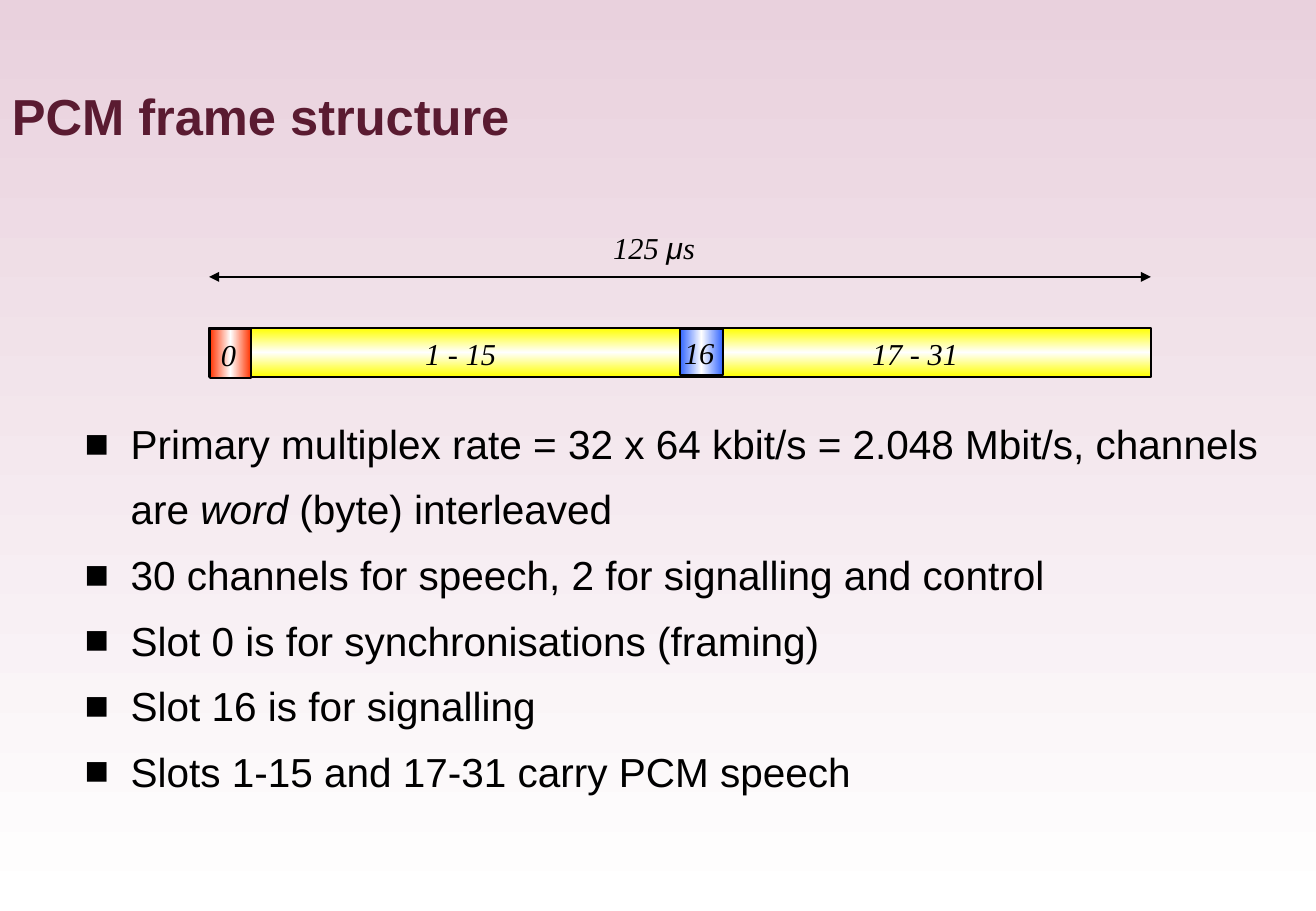
from copy import deepcopy
from dataclasses import dataclass

from lxml.etree import SubElement
from pptx import Presentation
from pptx.dml.color import RGBColor
from pptx.enum.shapes import MSO_CONNECTOR as Connector, MSO_SHAPE as Shape
from pptx.enum.text import MSO_ANCHOR as Anchor, MSO_AUTO_SIZE as AutoSize
from pptx.oxml.ns import qn
from pptx.util import Cm, Pt


@dataclass(frozen=True)
class Theme:
    ink: str = "000000"
    title: str = "5A1B31"
    backdrop: tuple = ("E9D1DD", "FFFFFF")
    speech: tuple = ("FFFF00", "FFFFFF", "FFFF00")
    sync: tuple = ("FF3300", "FFFFFF", "FF3300")
    signalling: tuple = ("3366FF", "FFFFFF", "3366FF")
    sans: str = "Arial"
    serif: str = "Times New Roman"
    title_size: int = 30
    body_size: int = 24
    label_size: int = 18
    line_width: int = 1


DOWNWARD, RIGHTWARD = 270, 0
SLIDE_WIDTH, SLIDE_HEIGHT = 27.51, 19.05
FRAME_LEFT, FRAME_TOP, FRAME_WIDTH, FRAME_HEIGHT = 4.37, 6.86, 19.69, 1.02
ARROW_TOP = 5.79
BULLET_INDENT = 0.96

# Each run is its text, optionally followed by True for italics.
POINTS = [
    [("Primary multiplex rate = 32 x 64 kbit/s = 2.048 Mbit/s, channels are ",),
     ("word", True), (" (byte) interleaved",)],
    [("30 channels for speech, 2 for signalling and control",)],
    [("Slot 0 is for synchronisations (framing)",)],
    [("Slot 16 is for signalling",)],
    [("Slots 1-15 and 17-31 carry PCM speech",)],
]

SLOT_LABELS = [
    ("0", 4.37, 6.91, 1.04),
    ("16", 14.05, 6.86, 1.37),
    ("1 - 15", 8.64, 6.88, 2.21),
    ("17 - 31", 17.98, 6.88, 2.54),
]


class SlideBuilder:
    def __init__(self, slide, theme):
        self.slide = slide
        self.theme = theme

    def gradient(self, fill, owner, colours, angle):
        """Spread the colours evenly; owner is the XML element holding the fill."""
        fill.gradient()
        fill.gradient_angle = angle
        stops = next(owner.iter(qn("a:gsLst")))
        while len(stops) < len(colours):
            stops.append(deepcopy(stops[0]))
        for index, (stop, colour) in enumerate(zip(fill.gradient_stops, colours)):
            stop.position = index / (len(colours) - 1)
            stop.color.rgb = RGBColor.from_string(colour)

    def background(self, colours):
        self.gradient(self.slide.background.fill, self.slide.element, colours, DOWNWARD)

    def outline(self, line):
        line.color.rgb = RGBColor.from_string(self.theme.ink)
        line.width = Pt(self.theme.line_width)

    def bar(self, left, top, width, height, colours, angle):
        bar = self.slide.shapes.add_shape(
            Shape.RECTANGLE, Cm(left), Cm(top), Cm(width), Cm(height))
        bar.shadow.inherit = False
        self.gradient(bar.fill, bar.element, colours, angle)
        self.outline(bar.line)

    def text_frame(self, left, top, width, height):
        frame = self.slide.shapes.add_textbox(
            Cm(left), Cm(top), Cm(width), Cm(height)).text_frame
        frame.word_wrap = True
        return frame

    def run(self, paragraph, text, size, font=None, colour=None, bold=False, italic=False):
        run = paragraph.add_run()
        run.text = text
        run.font.name = font or self.theme.sans
        run.font.size = Pt(size)
        run.font.bold = bold
        run.font.italic = italic
        run.font.color.rgb = RGBColor.from_string(colour or self.theme.ink)

    def title(self, text, left, top, width, height):
        frame = self.text_frame(left, top, width, height)
        frame.vertical_anchor = Anchor.MIDDLE
        self.run(frame.paragraphs[0], text, self.theme.title_size,
                 colour=self.theme.title, bold=True)

    def bullets(self, points, left, top, width, height):
        frame = self.text_frame(left, top, width, height)
        for index, point in enumerate(points):
            paragraph = frame.add_paragraph() if index else frame.paragraphs[0]
            properties = paragraph._p.get_or_add_pPr()
            properties.set("marL", str(Cm(BULLET_INDENT)))
            properties.set("indent", str(-Cm(BULLET_INDENT)))
            SubElement(properties, qn("a:buFont"), typeface=self.theme.sans)
            SubElement(properties, qn("a:buChar"), char="■")
            paragraph.line_spacing = 1.35
            for text, *italic in point:
                self.run(paragraph, text, self.theme.body_size, italic=bool(italic))

    def label(self, runs, left, top, width):
        """Write one italic line from (text, font) runs."""
        frame = self.text_frame(left, top, width, FRAME_HEIGHT)
        frame.word_wrap = False
        frame.auto_size = AutoSize.SHAPE_TO_FIT_TEXT
        for text, font in runs:
            self.run(frame.paragraphs[0], text, self.theme.label_size, font, italic=True)

    def double_arrow(self, left, right, top):
        arrow = self.slide.shapes.add_connector(
            Connector.STRAIGHT, Cm(left), Cm(top), Cm(right), Cm(top))
        self.outline(arrow.line)
        line = arrow.line._get_or_add_ln()
        for end in ("a:headEnd", "a:tailEnd"):
            SubElement(line, qn(end), type="triangle")
        SubElement(arrow.element.spPr, qn("a:effectLst"))


def main():
    presentation = Presentation()
    presentation.slide_width = Cm(SLIDE_WIDTH)
    presentation.slide_height = Cm(SLIDE_HEIGHT)
    theme = Theme()
    builder = SlideBuilder(
        presentation.slides.add_slide(presentation.slide_layouts[6]), theme)

    builder.background(theme.backdrop)
    builder.bar(FRAME_LEFT, FRAME_TOP, FRAME_WIDTH, FRAME_HEIGHT, theme.speech, DOWNWARD)
    builder.bar(4.39, 6.88, 0.86, 1.02, theme.sync, RIGHTWARD)
    builder.bar(14.22, 6.88, 0.89, 0.97, theme.signalling, RIGHTWARD)

    builder.title("PCM frame structure", 0, 1.63, SLIDE_WIDTH, 1.57)
    builder.bullets(POINTS, 1.52, 8.28, 25.22, 8.46)

    for text, left, top, width in SLOT_LABELS:
        builder.label([(text, theme.serif)], left, top, width)
    builder.double_arrow(FRAME_LEFT, FRAME_LEFT + FRAME_WIDTH, ARROW_TOP)
    builder.label([("125 ", theme.serif), ("μ", theme.sans), ("s", theme.serif)],
                  12.57, 4.67, 2.49)

    presentation.save("out.pptx")


if __name__ == "__main__":
    main()
